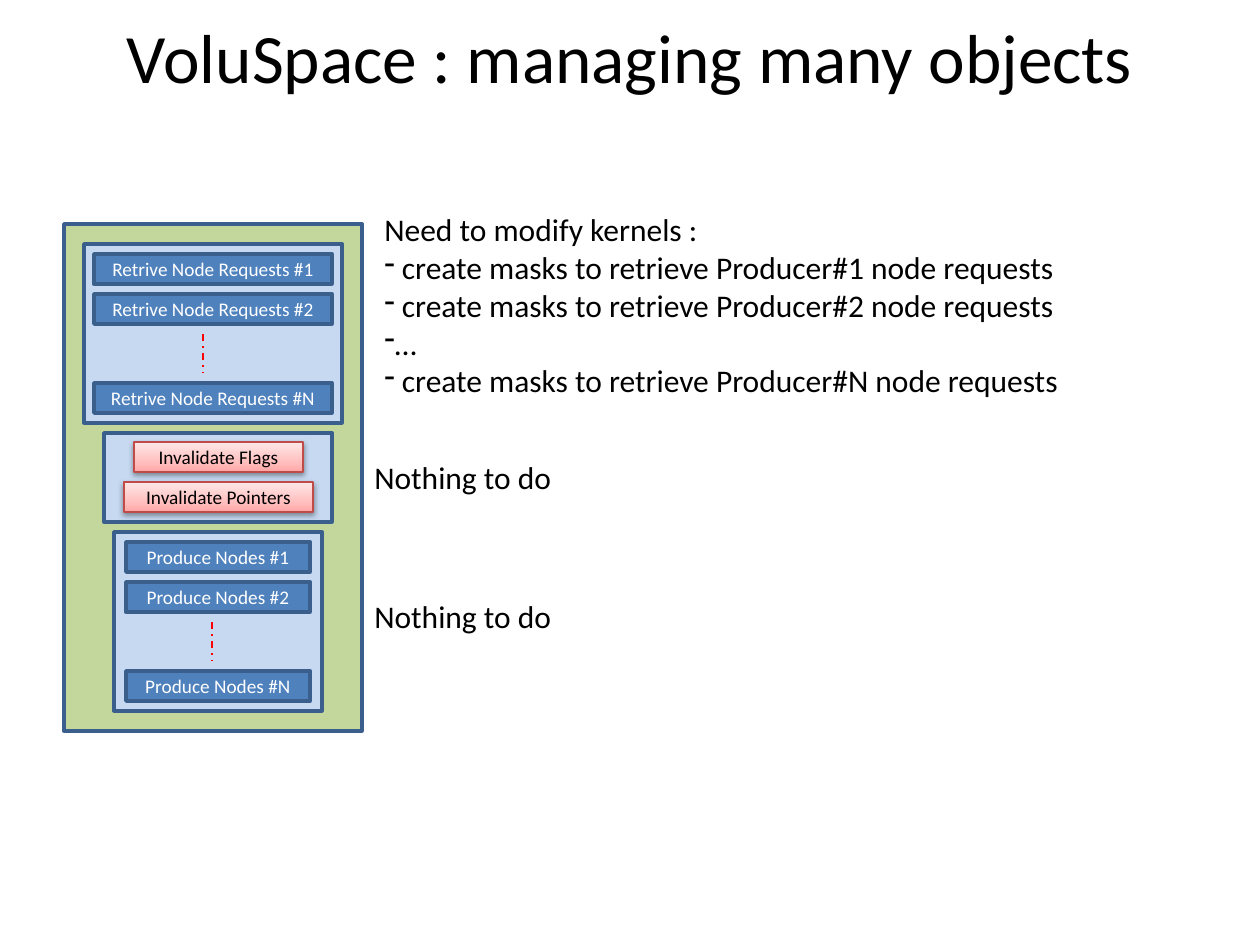
from copy import deepcopy

from lxml.etree import SubElement
from pptx import Presentation
from pptx.dml.color import RGBColor
from pptx.enum.dml import MSO_LINE
from pptx.enum.shapes import MSO_CONNECTOR, MSO_SHAPE
from pptx.enum.text import MSO_ANCHOR, PP_ALIGN
from pptx.oxml.ns import qn
from pptx.util import Emu, Pt

BLACK = RGBColor(0x00, 0x00, 0x00)
WHITE = RGBColor(0xFF, 0xFF, 0xFF)
GREEN = RGBColor(0xC3, 0xD6, 0x9B)
PALE = RGBColor(0xC6, 0xD9, 0xF1)
BLUE = RGBColor(0x4F, 0x81, 0xBD)
NAVY = RGBColor(0x3A, 0x5F, 0x8C)
RED = RGBColor(0xFF, 0x00, 0x00)
BRICK = RGBColor(0xBF, 0x4C, 0x48)
ROSE = ((0, RGBColor(0xFF, 0xA6, 0xA5)),
        (0.35, RGBColor(0xFF, 0xC0, 0xBF)),
        (1, RGBColor(0xFF, 0xE7, 0xE7)))
BAR = 30


def px(*sizes):
    """Turn pixels into EMU."""
    return [Emu(round(size * 914400 / 126)) for size in sizes]


class Board:
    """Hold the style and the current slide."""

    def __init__(self, slide, font):
        """Start a diagram group on the slide."""
        self.slide = slide
        self.font = font
        self.group = slide.shapes.add_group_shape().shapes

    def label(self, frame, lines, size, color, align, anchor):
        """Fill a text frame with paragraphs."""
        frame.word_wrap = True
        frame.vertical_anchor = anchor
        for index, line in enumerate(lines):
            para = frame.add_paragraph() if index else frame.paragraphs[0]
            para.alignment = align
            run = para.add_run()
            run.text = line
            form = {"name": self.font, "size": Pt(size)}
            for key, value in form.items():
                setattr(run.font, key, value)
            run.font.color.rgb = color

    def text(self, box, lines, size=18, align=PP_ALIGN.LEFT,
             anchor=MSO_ANCHOR.TOP):
        """Add a text box."""
        frame = self.slide.shapes.add_textbox(*px(*box)).text_frame
        self.label(frame, lines, size, BLACK, align, anchor)
        return frame

    def bullets(self, box, head, items):
        """Add a heading with dashed items below it."""
        frame = self.text(box, [head, *items])
        for para in frame.paragraphs[1:]:
            props = para._p.get_or_add_pPr()
            SubElement(props, qn("a:buFontTx"))
            SubElement(props, qn("a:buChar"), char="-")

    def rect(self, box, fill, line=NAVY, width=2, name="", color=WHITE):
        """Add a rectangle, labelled if a name is given."""
        shape = self.group.add_shape(MSO_SHAPE.RECTANGLE, *px(*box))
        shape.shadow.inherit = False
        if fill:
            shape.fill.solid()
            shape.fill.fore_color.rgb = fill
        shape.line.color.rgb = line
        shape.line.width = Pt(width)
        if name:
            self.label(shape.text_frame, [name], 11, color,
                       PP_ALIGN.CENTER, MSO_ANCHOR.MIDDLE)
        return shape

    def button(self, box, name):
        """Add a shaded rose rectangle with a soft shadow."""
        shape = self.rect(box, None, BRICK, 0.75, name, BLACK)
        shape.fill.gradient()
        shape.fill.gradient_angle = 90
        props = shape._element.spPr
        stops = props.find(".//" + qn("a:gsLst"))
        stops.append(deepcopy(stops[0]))
        for stop, (place, color) in zip(shape.fill.gradient_stops, ROSE):
            stop.color.rgb = color
            stop.position = place
        glow = SubElement(props.find(qn("a:effectLst")), qn("a:outerShdw"),
                          blurRad="40000", dist="20000", dir="5400000",
                          rotWithShape="0")
        tint = SubElement(glow, qn("a:srgbClr"), val=str(BLACK))
        SubElement(tint, qn("a:alpha"), val="38000")

    def dots(self, x, top, end):
        """Add a vertical dash-dot line."""
        line = self.group.add_connector(MSO_CONNECTOR.STRAIGHT,
                                        *px(x, top, x, end))
        form = {"width": Pt(1), "dash_style": MSO_LINE.DASH_DOT}
        for key, value in form.items():
            setattr(line.line, key, value)
        line.line.color.rgb = RED
        SubElement(line._element.spPr, qn("a:effectLst"))

    def stack(self, panel, left, width, name, mid):
        """Add a panel of numbered bars with a gap before the last."""
        self.rect(panel, PALE)
        top = panel[1]
        for mark, drop in (("1", 10), ("2", 50), ("N", 139)):
            self.rect((left, top + drop, width, BAR), BLUE,
                      name=f"{name} #{mark}")
        self.dots(mid, top + 90, top + 129)


def main():
    """Build the slide."""
    deck = Presentation()
    deck.slide_width, deck.slide_height = px(1260, 945)
    board = Board(deck.slides.add_slide(deck.slide_layouts[6]), "Calibri")

    board.text((94, 6, 1072, 100), ["VoluSpace : managing many objects"],
               39.6, PP_ALIGN.CENTER, MSO_ANCHOR.MIDDLE)

    board.rect((64, 224, 298, 507), GREEN)
    board.stack((84, 244, 258, 179), 94, 238, "Retrive Node Requests", 203)
    board.rect((104, 433, 228, 89), PALE)
    board.button((134, 442, 169, BAR), "Invalidate Flags")
    board.button((124, 482, 189, BAR), "Invalidate Pointers")
    board.stack((114, 532, 208, 179), 126, 184, "Produce Nodes", 212)

    for top in (452, 591):
        board.text((362, top, 238, 50), ["Nothing to do"])
    masks = [f" create masks to retrieve Producer#{mark} node requests"
             for mark in "12N"]
    board.bullets((372, 204, 824, 204), "Need to modify kernels :",
                  [*masks[:2], "…", masks[2]])
    deck.save("out.pptx")


if __name__ == "__main__":
    main()
